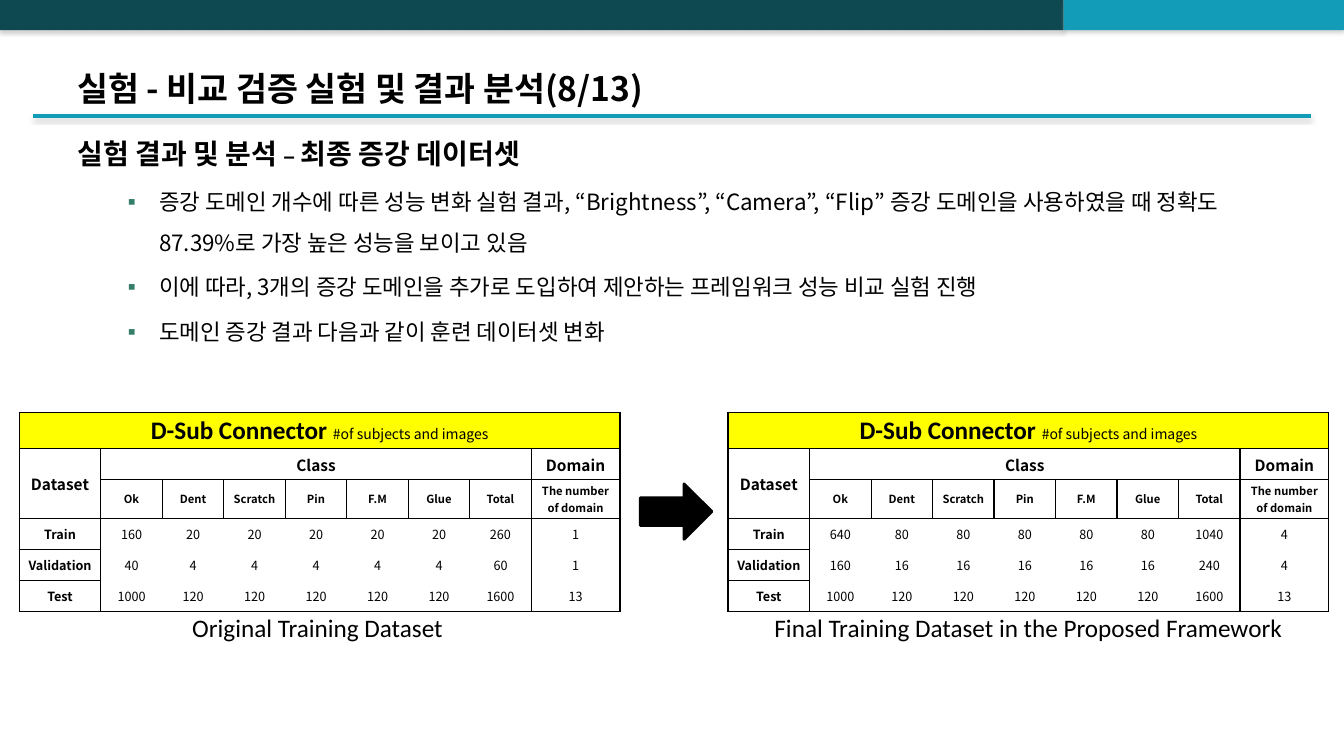
from lxml import etree
from pptx import Presentation
from pptx.dml.color import RGBColor
from pptx.enum.shapes import MSO_CONNECTOR, MSO_SHAPE
from pptx.enum.text import MSO_ANCHOR, PP_ALIGN
from pptx.oxml import parse_xml
from pptx.oxml.ns import nsdecls, qn
from pptx.util import Inches, Pt

KOREAN = "Noto Sans CJK KR"
LATIN = "Calibri"
color = RGBColor.from_string


def style(span, size, font=KOREAN, bold=False):
    span.font.size = Pt(size)
    span.font.bold = bold
    span.font.name = font
    span.font.color.rgb = color("000000")
    etree.SubElement(span.font._element, qn("a:ea"), typeface=font)


def add_shadow(shape, alpha, distance):
    for old in shape._element.spPr.findall(qn("a:effectLst")):
        shape._element.spPr.remove(old)
    shape._element.spPr.append(parse_xml(
        f'<a:effectLst {nsdecls("a")}><a:outerShdw blurRad="{Pt(3.1)}" dist="{Pt(distance)}" '
        f'dir="5400000" rotWithShape="0"><a:srgbClr val="808080"><a:alpha val="{alpha * 1000}"/>'
        '</a:srgbClr></a:outerShdw></a:effectLst>'))


deck = Presentation()
deck.slide_width, deck.slide_height = Inches(13.33), Inches(7.5)
page = deck.slides.add_slide(deck.slide_layouts[6])

# Top bars
for left, width, fill in [(0, 10.55, "0E4851"), (10.55, 2.78, "139CB7")]:
    bar = page.shapes.add_shape(MSO_SHAPE.RECTANGLE, Inches(left), 0, Inches(width), Inches(0.3))
    bar.fill.solid()
    bar.fill.fore_color.rgb = color(fill)
    bar.line.fill.background()
    add_shadow(bar, 35, 1.8)

# Title and its rule
rule = page.shapes.add_connector(
    MSO_CONNECTOR.STRAIGHT, Inches(0.33), Inches(1.15), Inches(13), Inches(1.15))
rule.line.color.rgb = color("139CB7")
rule.line.width = Pt(3)
add_shadow(rule, 38, 1.6)

title = page.shapes.add_textbox(Inches(0.67), Inches(0.12), Inches(12), Inches(1)).text_frame
title.word_wrap = True
title.vertical_anchor = MSO_ANCHOR.BOTTOM
title.text = "실험 - 비교 검증 실험 및 결과 분석(8/13)"
style(title.paragraphs[0].runs[0], 24, bold=True)

# Heading and bullets
body = page.shapes.add_textbox(Inches(0.67), Inches(1.31), Inches(12), Inches(2.5)).text_frame
body.word_wrap = True
for text, size in [("실험 결과 및 분석 ", 20), ("– ", 16), ("최종 증강 데이터셋", 20)]:
    span = body.paragraphs[0].add_run()
    span.text = text
    style(span, size, bold=True)

for text in [
    "증강 도메인 개수에 따른 성능 변화 실험 결과, “Brightness”, “Camera”, “Flip” 증강 도메인을 "
    "사용하였을 때 정확도 87.39%로 가장 높은 성능을 보이고 있음",
    "이에 따라, 3개의 증강 도메인을 추가로 도입하여 제안하는 프레임워크 성능 비교 실험 진행",
    "도메인 증강 결과 다음과 같이 훈련 데이터셋 변화",
]:
    para = body.add_paragraph()
    para.text = text
    para.line_spacing = 1.5
    para.space_before = Pt(3.2)
    props = para._p.get_or_add_pPr()
    props.set("marL", str(Inches(0.81)))
    props.set("indent", str(Inches(-0.31)))
    bullet_color = etree.SubElement(props, qn("a:buClr"))
    etree.SubElement(bullet_color, qn("a:srgbClr"), val="357E69")
    etree.SubElement(props, qn("a:buFont"), typeface=LATIN)
    etree.SubElement(props, qn("a:buChar"), char="▪")
    style(para.runs[0], 16)

# Dataset tables with captions
COLUMNS = [0.81] + [0.61] * 7 + [0.88]
ROWS = [0.36, 0.31, 0.38, 0.31, 0.31, 0.31]
HEADER = [
    ["D-Sub Connector "] + [""] * 8,
    ["Dataset", "Class"] + [""] * 6 + ["Domain"],
    ["", "Ok", "Dent", "Scratch", "Pin", "F.M", "Glue", "Total", "The number of domain"],
]
TEST = ["Test", 1000] + [120] * 5 + [1600, 13]
DATASETS = [
    (0.19, 0.15, 6, "Original Training Dataset",
     [["Train", 160] + [20] * 5 + [260, 1], ["Validation", 40] + [4] * 5 + [60, 1], TEST]),
    (7.22, 7.22, 5.96, "Final Training Dataset in the Proposed Framework",
     [["Train", 640] + [80] * 5 + [1040, 4], ["Validation", 160] + [16] * 5 + [240, 4], TEST]),
]
for left, caption_left, caption_width, caption, counts in DATASETS:
    table = page.shapes.add_table(
        len(ROWS), len(COLUMNS), Inches(left), Inches(4.09),
        Inches(sum(COLUMNS)), Inches(sum(ROWS))).table
    table.first_row = table.horz_banding = False
    for column, width in zip(table.columns, COLUMNS):
        column.width = Inches(width)
    for row, height in zip(table.rows, ROWS):
        row.height = Inches(height)

    for r, values in enumerate(HEADER + counts):
        for c, value in enumerate(values):
            cell = table.cell(r, c)
            cell.margin_left = cell.margin_right = Inches(0.05)
            cell.margin_top = cell.margin_bottom = Inches(0.03)
            cell.vertical_anchor = MSO_ANCHOR.MIDDLE

            # Counts share one frame per block; headers are fully ruled
            framed = r < 3 or c == 0
            sides = {"lnL": framed or c in (1, 8), "lnR": framed or c in (7, 8),
                     "lnT": framed or r == 3, "lnB": framed or r == 5}
            for side, drawn in sides.items():
                edge = etree.SubElement(cell._tc.get_or_add_tcPr(), qn("a:" + side), w=str(Pt(1)))
                if drawn:
                    paint = etree.SubElement(edge, qn("a:solidFill"))
                    etree.SubElement(paint, qn("a:srgbClr"), val="000000")
                else:
                    etree.SubElement(edge, qn("a:noFill"))
            if r == 0:
                cell.fill.solid()
                cell.fill.fore_color.rgb = color("FFFF00")
            else:
                cell.fill.background()

            if value != "":
                para = cell.text_frame.paragraphs[0]
                para.text = str(value)
                para.alignment = PP_ALIGN.CENTER
                size = [18, 11, 8, 9, 9, 9][r]
                style(para.runs[0], size, LATIN if r == 0 else KOREAN, framed)

    note = table.cell(0, 0).text_frame.paragraphs[0].add_run()
    note.text = "#of subjects and images"
    style(note, 10)
    table.cell(0, 0).merge(table.cell(0, 8))
    table.cell(1, 0).merge(table.cell(2, 0))
    table.cell(1, 1).merge(table.cell(1, 7))

    label = page.shapes.add_textbox(
        Inches(caption_left), Inches(6.03), Inches(caption_width), Inches(0.4)).text_frame
    label.word_wrap = True
    label.text = caption
    label.paragraphs[0].alignment = PP_ALIGN.CENTER
    style(label.paragraphs[0].runs[0], 18, LATIN)

# Arrow between the tables
arrow = page.shapes.add_shape(
    MSO_SHAPE.RIGHT_ARROW, Inches(6.35), Inches(4.8), Inches(0.71), Inches(0.55))
arrow.shadow.inherit = False
arrow.fill.solid()
arrow.fill.fore_color.rgb = color("000000")
arrow.line.color.rgb = color("000000")
arrow.line.width = Pt(2)

deck.save("out.pptx")
